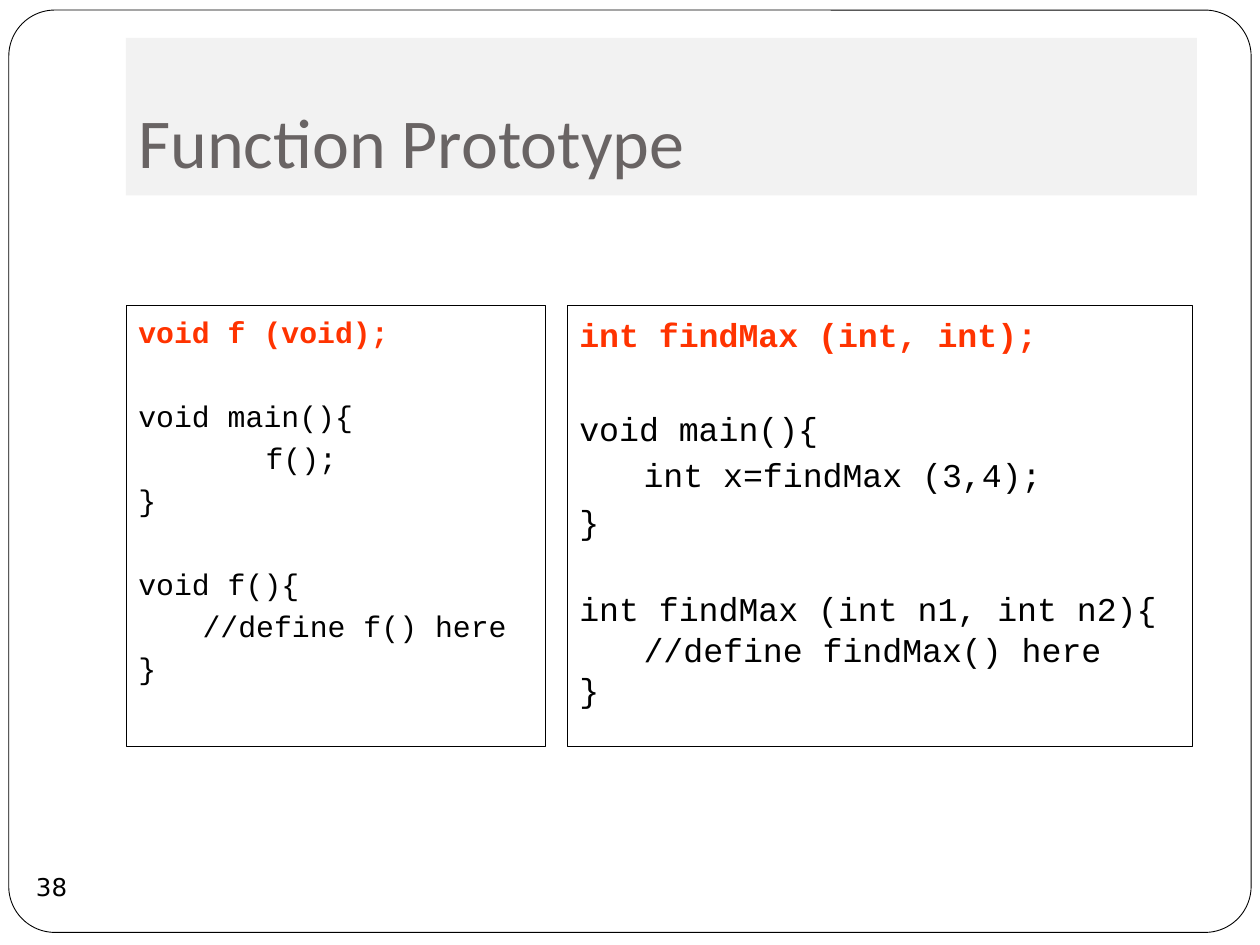
from dataclasses import dataclass

from pptx import Presentation
from pptx.dml.color import RGBColor
from pptx.enum.shapes import MSO_SHAPE as Shape
from pptx.enum.text import MSO_ANCHOR as Anchor, PP_ALIGN as Align
from pptx.util import Inches, Pt

WHITE = RGBColor(0xFF, 0xFF, 0xFF)
BLACK = RGBColor(0, 0, 0)
BAND = RGBColor(0xF2, 0xF2, 0xF2)
TITLE = RGBColor(0x69, 0x64, 0x64)
ACCENT = RGBColor(0xFF, 0x33, 0x00)

WIDTH, HEIGHT = 10, 7.5
HANG = Inches(0.51)
LINE_RATIO = 1.21
PARA_GAP = 0.2


@dataclass(frozen=True)
class Box:
    """Position and size in inches."""
    left: float
    top: float
    width: float
    height: float


@dataclass(frozen=True)
class CodePanel:
    box: Box
    size: int
    blocks: tuple[str, ...]  # the first block is the highlighted prototype
    tight: tuple[int, ...] = ()  # blocks without paragraph gaps


PANEL_TOP, PANEL_HEIGHT = 2.42, 3.5
PANELS = (
    CodePanel(Box(1, PANEL_TOP, 3.33, PANEL_HEIGHT), 17, (
        "void f (void);",
        "void main(){\n\t\tf();\n}",
        "void f(){\n\t//define f() here\n}",
    )),
    CodePanel(Box(4.5, PANEL_TOP, 4.96, PANEL_HEIGHT), 19, (
        "int findMax (int, int);",
        "void main(){\n\tint x=findMax (3,4);\n}",
        "int findMax (int n1, int n2){\n\t//define findMax() here\n}",
    ), tight=(2,)),
)


def add_box(slide, kind, box: Box, fill=None, line_width=None):
    sp = slide.shapes.add_shape(kind, Inches(box.left), Inches(box.top),
                                Inches(box.width), Inches(box.height))
    sp.shadow.inherit = False
    if fill is None:
        sp.fill.background()
    else:
        sp.fill.solid()
        sp.fill.fore_color.rgb = fill
    if line_width is None:
        sp.line.fill.background()
    else:
        sp.line.color.rgb = BLACK
        sp.line.width = Pt(line_width)
    return sp


def set_font(p, name: str, size: float, color: RGBColor, bold: bool = False) -> None:
    p.font.name, p.font.size, p.font.bold = name, Pt(size), bold
    p.font.color.rgb = color


def add_label(sp, text: str, font: str, size: float, color: RGBColor,
              align, anchor, insets: tuple[float, ...], wrap: bool) -> None:
    tf = sp.text_frame
    tf.word_wrap, tf.vertical_anchor = wrap, anchor
    (tf.margin_left, tf.margin_top,
     tf.margin_right, tf.margin_bottom) = map(Inches, insets)
    p = tf.paragraphs[0]
    p.text, p.alignment = text, align
    set_font(p, font, size, color)


def add_code(slide, panel: CodePanel) -> None:
    tf = add_box(slide, Shape.RECTANGLE, panel.box, line_width=0.25).text_frame
    tf.word_wrap, tf.vertical_anchor = True, Anchor.TOP
    tf.margin_top = Inches(0.07)
    pitch = round(panel.size * LINE_RATIO, 1)
    gap = panel.size * PARA_GAP
    for b, block in enumerate(panel.blocks):
        for n, line in enumerate(block.split("\n")):
            first = b == n == 0
            p = tf.paragraphs[0] if first else tf.add_paragraph()
            before = 0 if first or b in panel.tight else gap
            if b and n == 0:  # one line of air between blocks
                before += pitch + gap
            p.add_run().text = line
            p.alignment = Align.LEFT
            p.line_spacing, p.space_before = Pt(pitch), Pt(before)
            pPr = p._p.get_or_add_pPr()
            pPr.set("marL", str(HANG))
            pPr.set("indent", str(-HANG))
            set_font(p, "Courier New", panel.size, BLACK if b else ACCENT, b == 0)


def main() -> None:
    prs = Presentation()
    prs.slide_width, prs.slide_height = Inches(WIDTH), Inches(HEIGHT)
    s = prs.slides.add_slide(prs.slide_layouts[6])

    # Rounded frame around the slide
    frame = add_box(s, Shape.ROUNDED_RECTANGLE, Box(0.07, 0.08, 9.86, 7.32), WHITE, 0.5)
    frame.adjustments[0] = 0.05

    # Title band
    band = add_box(s, Shape.RECTANGLE, Box(1, 0.3, 8.5, 1.25), BAND)
    add_label(band, "Function Prototype", "Calibri", 40, TITLE,
              Align.LEFT, Anchor.BOTTOM, (0.1, 0.05, 0.1, 0.1), True)

    # Slide number
    number = add_box(s, Shape.OVAL, Box(0.16, 6.79, 0.5, 0.5))
    add_label(number, "38", "DejaVu Sans", 14, BLACK,
              Align.CENTER, Anchor.MIDDLE, (0, 0, 0, 0), False)

    # Code panels
    for panel in PANELS:
        add_code(s, panel)

    prs.save("out.pptx")


if __name__ == "__main__":
    main()
